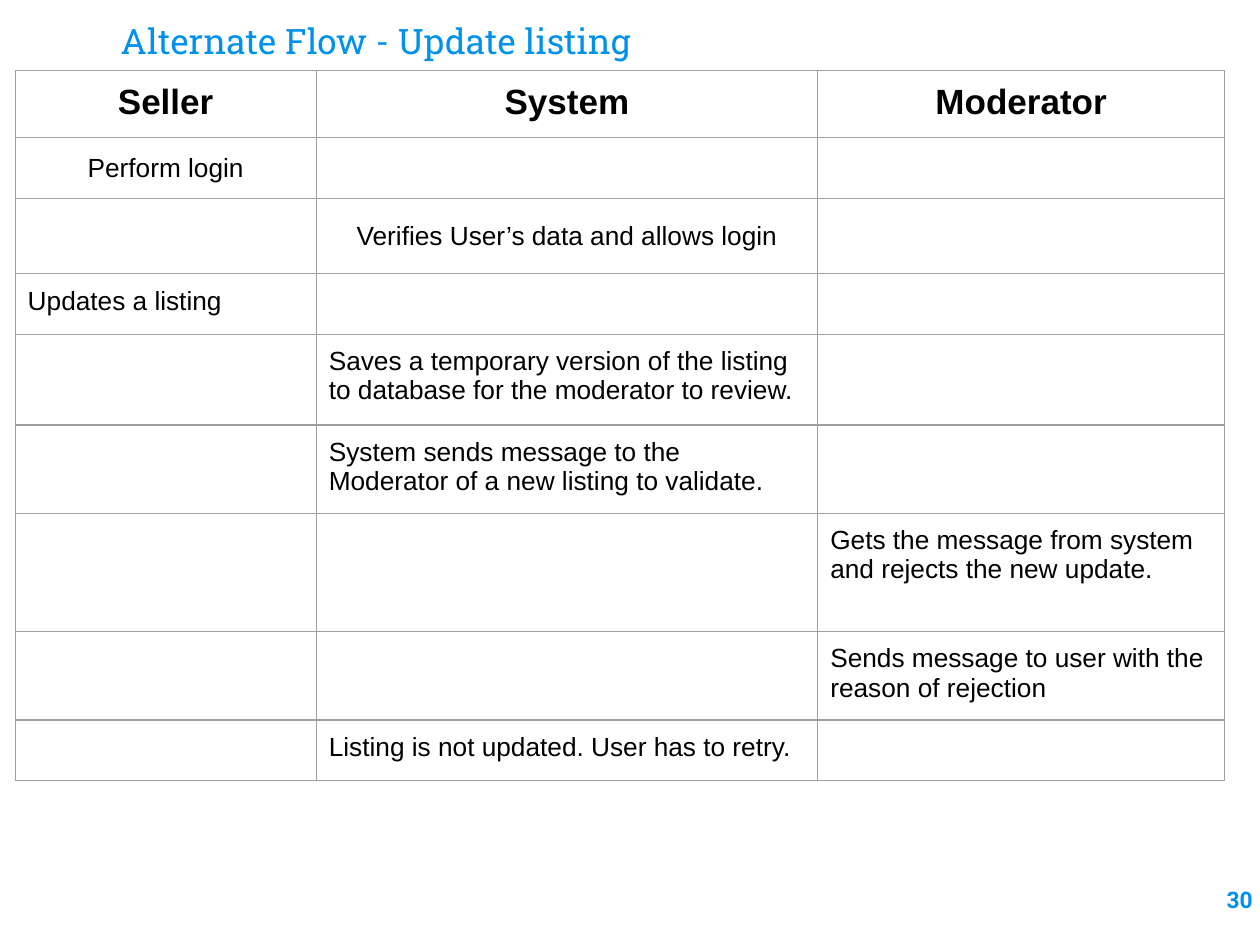
from lxml.etree import SubElement
from pptx import Presentation
from pptx.dml.color import RGBColor
from pptx.enum.text import MSO_ANCHOR, PP_ALIGN
from pptx.oxml.ns import qn
from pptx.util import Inches, Pt

TITLE = "Alternate Flow - Update listing"
PAGE_NUMBER = "30"
ACTORS = ["Seller", "System", "Moderator"]
# Each step: actor, action, row height, centred
STEPS = [
    ("Seller", "Perform login", 0.48, True),
    ("System", "Verifies User’s data and allows login", 0.6, True),
    ("Seller", "Updates a listing", 0.48, False),
    ("System", "Saves a temporary version of the listing to database "
               "for the moderator to review.", 0.72, False),
    ("System", "System sends message to the Moderator of a new listing "
               "to validate.", 0.67, False),
    ("Moderator", "Gets the message from system and rejects the new update.",
     0.94, False),
    ("Moderator", "Sends message to user with the reason of rejection",
     0.7, False),
    ("System", "Listing is not updated. User has to retry.", 0.48, False),
]
COLUMN_WIDTHS = [2.39, 3.98, 3.23]
HEADER_HEIGHT = 0.51
PADDING = Inches(0.1)
BLUE, BLACK, GREY = "0091EA", "000000", "9E9E9E"


def color(value):
    return RGBColor.from_string(value)


def write(frame, text, size, font, ink, bold=False, align=PP_ALIGN.LEFT):
    frame.text = text
    paragraph = frame.paragraphs[0]
    paragraph.alignment = align
    style = paragraph.runs[0].font
    style.size, style.name, style.bold = Pt(size), font, bold
    style.color.rgb = color(ink)


def add_label(slide, box, text, anchor, *style):
    frame = slide.shapes.add_textbox(*map(Inches, box)).text_frame
    frame.word_wrap = True
    frame.vertical_anchor = anchor
    frame.margin_left = frame.margin_right = PADDING
    frame.margin_top = frame.margin_bottom = PADDING
    write(frame, text, *style)


def add_borders(cell):
    properties = cell._tc.get_or_add_tcPr()
    for position, side in enumerate(("lnL", "lnR", "lnT", "lnB")):
        line = SubElement(properties, qn(f"a:{side}"), w=str(Pt(0.75)))
        fill = SubElement(line, qn("a:solidFill"))
        SubElement(fill, qn("a:srgbClr"), val=GREY)
        properties.insert(position, line)


def fill_cell(cell, text, size, bold, centred, anchor):
    cell.margin_left = cell.margin_right = PADDING
    cell.margin_top = cell.margin_bottom = PADDING
    cell.vertical_anchor = anchor
    align = PP_ALIGN.CENTER if centred else PP_ALIGN.LEFT
    write(cell.text_frame, text, size, "Arial", BLACK, bold, align)


presentation = Presentation()
presentation.slide_width, presentation.slide_height = Inches(10), Inches(7.5)
slide = presentation.slides.add_slide(presentation.slide_layouts[6])

# Title and page number
add_label(slide, (0.86, -0.08, 8.28, 0.67), TITLE, MSO_ANCHOR.BOTTOM,
          20, "Roboto Slab", BLUE)
add_label(slide, (9.44, 6.93, 0.6, 0.57), PAGE_NUMBER, MSO_ANCHOR.TOP,
          13, "Roboto", BLUE, True, PP_ALIGN.RIGHT)

# Flow table: one column per actor, one row per step
heights = [HEADER_HEIGHT] + [step[2] for step in STEPS]
flow = slide.shapes.add_table(
    len(heights), len(ACTORS), Inches(0.12), Inches(0.56),
    Inches(sum(COLUMN_WIDTHS)), Inches(sum(heights))).table
flow.first_row = flow.horz_banding = False
for column, width in zip(flow.columns, COLUMN_WIDTHS):
    column.width = Inches(width)
for row, height in zip(flow.rows, heights):
    row.height = Inches(height)
for cell in flow.iter_cells():
    cell.fill.background()
    add_borders(cell)

# Header, then each action under its actor
for column, actor in enumerate(ACTORS):
    fill_cell(flow.cell(0, column), actor, 20, True, True, MSO_ANCHOR.TOP)
for row, (actor, action, _, centred) in enumerate(STEPS, start=1):
    anchor = MSO_ANCHOR.MIDDLE if centred else MSO_ANCHOR.TOP
    fill_cell(flow.cell(row, ACTORS.index(actor)), action, 15, False,
              centred, anchor)

presentation.save("out.pptx")
